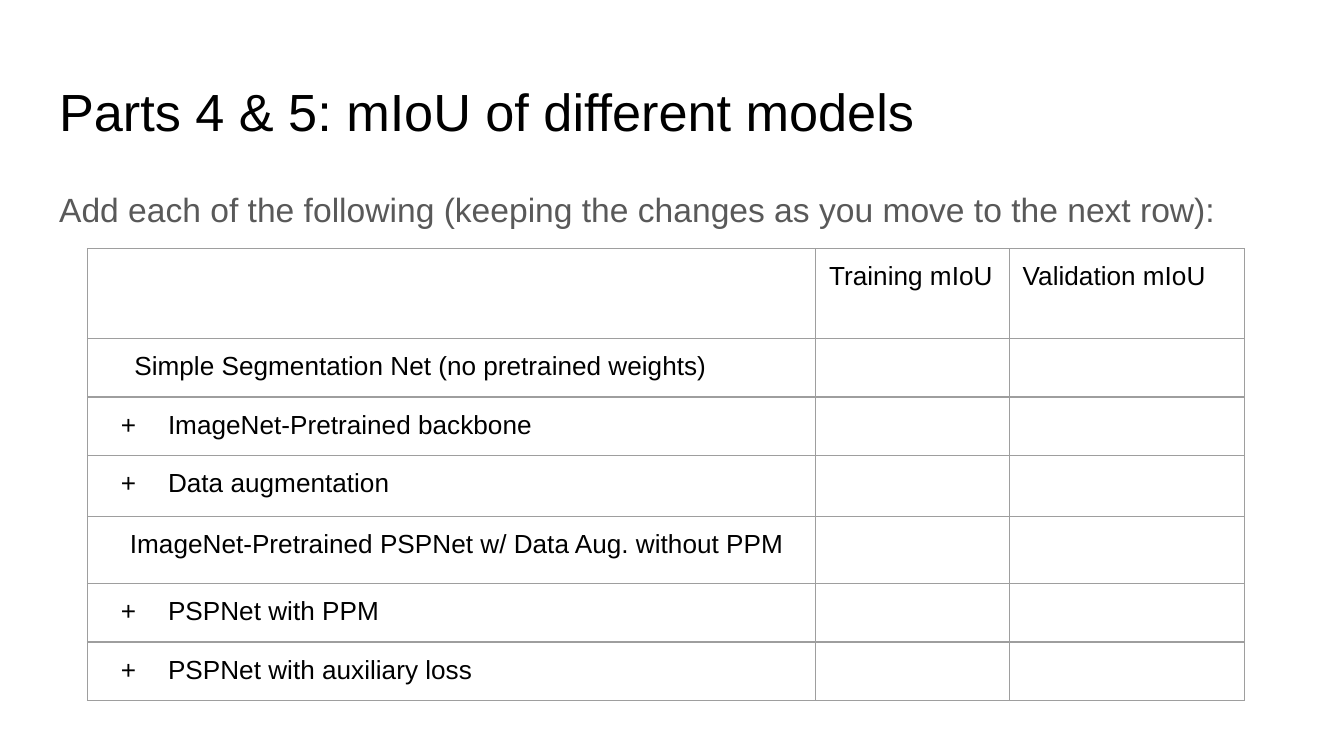
"""Build a slide with a table for comparing the mIoU of segmentation models."""
import dataclasses

import lxml.etree
import pptx
import pptx.dml.color
import pptx.enum.text
import pptx.oxml.ns
import pptx.util

Pt = pptx.util.Pt
qn = pptx.oxml.ns.qn
sub = lxml.etree.SubElement


@dataclasses.dataclass
class Theme:
    font: str = "Arial"
    ink: str = "000000"
    gray: str = "595959"
    rule: str = "9E9E9E"
    head: int = 28
    lead: int = 18
    cell: int = 14
    pad: float = 7.2


theme = Theme()


def write(frame, text, size=theme.cell, color=theme.ink, left=0, hang=0, mark=None, space=1):
    frame.margin_left = frame.margin_right = Pt(theme.pad)
    frame.margin_top = frame.margin_bottom = Pt(theme.pad)
    frame.word_wrap = True
    para = frame.paragraphs[0]
    para.alignment = pptx.enum.text.PP_ALIGN.LEFT
    para.line_spacing = space
    para.space_before = Pt(0)
    props = para._p.get_or_add_pPr()
    props.set("marL", str(Pt(left)))
    props.set("indent", str(Pt(hang)))
    if mark:
        tint = sub(props, qn("a:buClr"))
        sub(tint, qn("a:srgbClr"), val=color)
        sub(props, qn("a:buFont"), typeface=theme.font)
        sub(props, qn("a:buChar"), char=mark)
    else:
        sub(props, qn("a:buNone"))
    if text:
        run = para.add_run()
        run.text = text
        run.font.name = theme.font
        run.font.size = Pt(size)
        run.font.color.rgb = pptx.dml.color.RGBColor.from_string(color)
    else:
        sub(para._p, qn("a:endParaRPr"), sz=str(size * 100))


def border(cell):
    props = cell._tc.get_or_add_tcPr()
    for side in ("a:lnL", "a:lnR", "a:lnT", "a:lnB"):
        line = sub(props, qn(side), w=str(Pt(0.75)))
        fill = sub(line, qn("a:solidFill"))
        sub(fill, qn("a:srgbClr"), val=theme.rule)


deck = pptx.Presentation()
deck.slide_width, deck.slide_height = Pt(720), Pt(405)
slide = deck.slides.add_slide(deck.slide_layouts[1])

title, body = slide.shapes.title, slide.placeholders[1]
for shape, top, tall in ((title, 35, 45), (body, 90.7, 269)):
    shape.left, shape.top = Pt(24.5), Pt(top)
    shape.width, shape.height = Pt(671), Pt(tall)
    shape.text_frame.auto_size = pptx.enum.text.MSO_AUTO_SIZE.NONE
    shape.text_frame.vertical_anchor = pptx.enum.text.MSO_ANCHOR.TOP
write(title.text_frame, "Parts 4 & 5: mIoU of different models", size=theme.head)
write(body.text_frame,
      "Add each of the following (keeping the changes as you move to the next row):",
      size=theme.lead, color=theme.gray, space=1.15)

plus = {"left": 36, "hang": -25.2, "mark": "+"}
rows = [
    (48, ["", "Training mIoU", "Validation mIoU"], {}),
    (31.2, ["Simple Segmentation Net (no pretrained weights)", "", ""], {"left": 18}),
    (31.2, ["ImageNet-Pretrained backbone", "", ""], plus),
    (32.4, ["Data augmentation", "", ""], plus),
    (36, ["ImageNet-Pretrained PSPNet w/ Data Aug. without PPM", "", ""], {"left": 15.6}),
    (31.2, ["PSPNet with PPM", "", ""], plus),
    (31.2, ["PSPNet with auxiliary loss", "", ""], plus),
]
wide = [390.2, 103.7, 126]
tall = sum(row[0] for row in rows)

grid = slide.shapes.add_table(
    len(rows), len(wide), Pt(46.8), Pt(133.2), Pt(sum(wide)), Pt(tall)).table
grid.first_row = grid.horz_banding = False
for col, width in zip(grid.columns, wide):
    col.width = Pt(width)
for r, (height, texts, form) in enumerate(rows):
    grid.rows[r].height = Pt(height)
    for c, text in enumerate(texts):
        cell = grid.cell(r, c)
        border(cell)
        cell.fill.background()
        cell.margin_left = cell.margin_right = Pt(theme.pad)
        cell.margin_top = cell.margin_bottom = Pt(theme.pad)
        write(cell.text_frame, text, **(form if text else {}))

deck.save("out.pptx")
